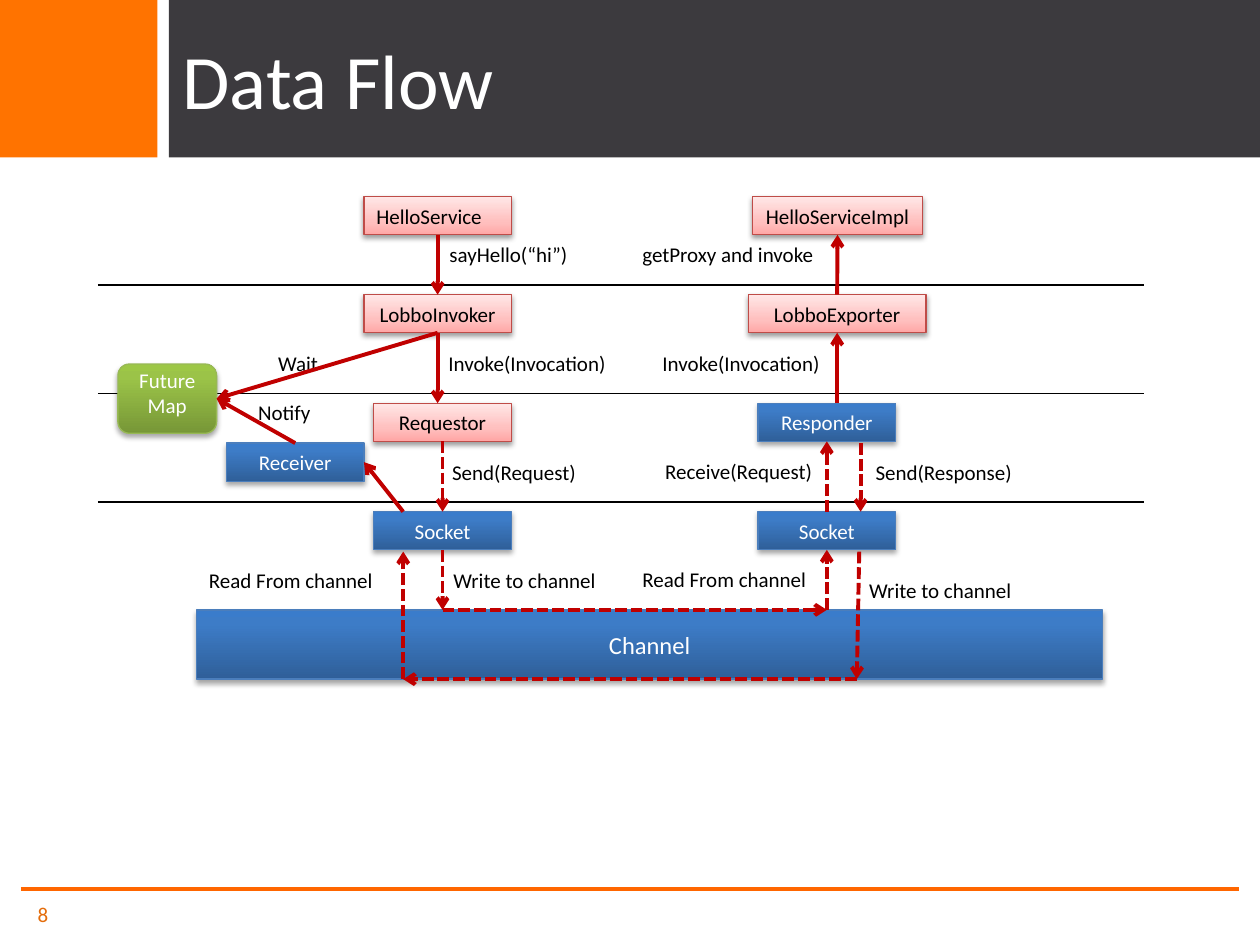
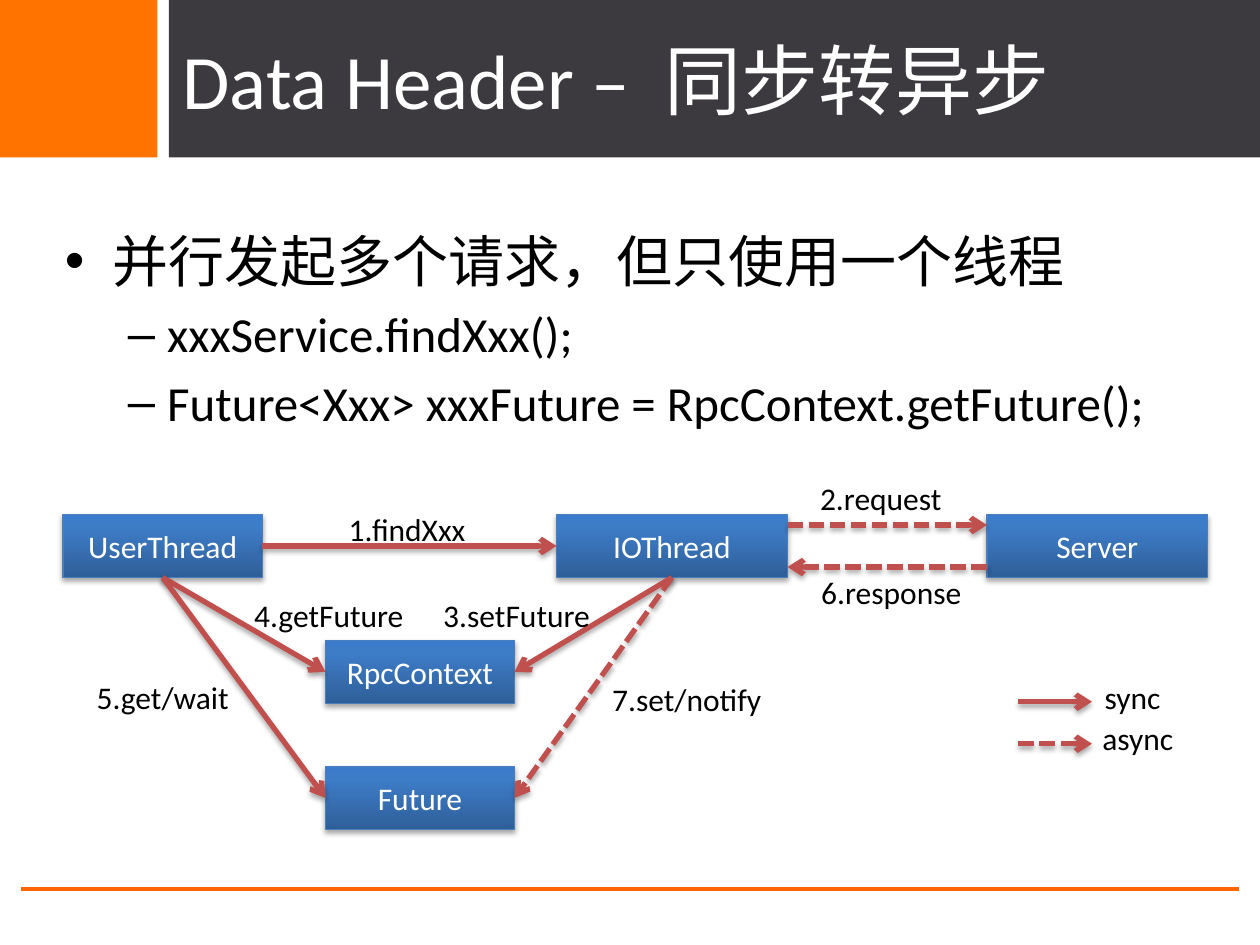
from lxml.etree import SubElement
from pptx import Presentation
from pptx.dml.color import RGBColor
from pptx.enum.dml import MSO_LINE_DASH_STYLE as Dash
from pptx.enum.shapes import MSO_CONNECTOR as Connector, MSO_SHAPE as Preset
from pptx.enum.text import MSO_ANCHOR as Anchor, PP_ALIGN as Align
from pptx.oxml.ns import qn
from pptx.util import Pt

FONT = "Calibri"
COLORS = {
    "band": "3C3A3E", "orange": "FF7300", "footer": "FF6600", "number": "E46C0A",
    "white": "FFFFFF", "black": "000000", "flow": "C00000", "call": "C0504D",
}
# Box styles: gradient stops from bottom to top, outline, text colour, shadow opacity in %
STYLES = {
    "pink": ([(0, "FFA6A5"), (35, "FFC0BF"), (100, "FFE7E7")], "BF4C48", "black", 38),
    "blue": ([(0, "2F5F99"), (80, "3D7CC7"), (100, "3A7CCB")], "4B7EBC", "white", 35),
    "green": ([(0, "779737"), (80, "9BC348"), (100, "9DC746")], "98B955", "white", 35),
}
SITES = {"top": 0, "left": 1, "bottom": 2, "right": 3}


def rgb(name):
    return RGBColor.from_string(COLORS.get(name, name))


def format_text(paragraph, size, color, align=Align.LEFT):
    paragraph.alignment = align
    for run in paragraph.runs:
        run.font.name, run.font.size = FONT, Pt(size)
        run.font.color.rgb = rgb(color)


def add_shadow(properties, opacity):
    """Put a soft shadow below into the effect list of the shape properties."""
    effects = properties.find(qn("a:effectLst"))
    shadow = SubElement(effects, qn("a:outerShdw"), blurRad=str(Pt(3.1)),
                        dist=str(Pt(1.8)), dir="5400000", rotWithShape="0")
    color = SubElement(shadow, qn("a:srgbClr"), val=COLORS["black"])
    SubElement(color, qn("a:alpha"), val=str(opacity * 1000))


def add_text(slide, text, left, top, width, height, size, color,
             anchor=Anchor.TOP, wrap=False):
    box = slide.shapes.add_textbox(Pt(left), Pt(top), Pt(width), Pt(height))
    frame = box.text_frame
    frame.text, frame.word_wrap, frame.vertical_anchor = text, wrap, anchor
    for paragraph in frame.paragraphs:
        format_text(paragraph, size, color)
    return frame


def add_band(slide, left, width, height, color):
    band = slide.shapes.add_shape(Preset.RECTANGLE, Pt(left), 0, Pt(width), Pt(height))
    band.shadow.inherit = False
    band.fill.solid()
    band.fill.fore_color.rgb = rgb(color)
    band.line.fill.background()


def add_line(slide, begin, end, color, weight):
    """Each end is a point, or a box with the name of one of its sides."""
    line = slide.shapes.add_connector(Connector.STRAIGHT, 0, 0, 0, 0)
    if isinstance(begin[1], str):
        line.begin_connect(begin[0], SITES[begin[1]])
    else:
        line.begin_x, line.begin_y = Pt(begin[0]), Pt(begin[1])
    if isinstance(end[1], str):
        line.end_connect(end[0], SITES[end[1]])
    else:
        line.end_x, line.end_y = Pt(end[0]), Pt(end[1])
    line.line.color.rgb, line.line.width = rgb(color), Pt(weight)
    SubElement(line._element.spPr, qn("a:effectLst"))
    return line


class Diagram:
    """Boxes, labels and arrows placed relative to one corner."""

    def __init__(self, slide, left, top, size, arrow_color, weight, arrow_shadow=False):
        self.slide, self.left, self.top, self.size = slide, left, top, size
        self.arrow_color, self.weight = arrow_color, weight
        self.arrow_shadow = arrow_shadow

    def at(self, x, y):
        return self.left + x, self.top + y

    def box(self, text, x, y, width, height, style="blue", size=None,
            preset=Preset.RECTANGLE, align=Align.CENTER):
        stops, outline, color, opacity = STYLES[style]
        left, top = self.at(x, y)
        shape = self.slide.shapes.add_shape(preset, Pt(left), Pt(top), Pt(width), Pt(height))
        # Three-stop gradient
        shape.fill.gradient()
        shape.fill.gradient_angle = 90
        stop_list = shape._element.spPr.find(".//" + qn("a:gsLst"))
        stop_list.clear()
        for position, stop_color in stops:
            stop = SubElement(stop_list, qn("a:gs"), pos=str(position * 1000))
            SubElement(stop, qn("a:srgbClr"), val=stop_color)
        shape.line.color.rgb, shape.line.width = rgb(outline), Pt(0.75)
        shape.shadow.inherit = False
        add_shadow(shape._element.spPr, opacity)
        # Caption
        frame = shape.text_frame
        frame.text, frame.vertical_anchor = text, Anchor.MIDDLE
        frame.word_wrap = align == Align.LEFT
        format_text(frame.paragraphs[0], size or self.size, color, align)
        return shape

    def label(self, text, x, y, width):
        left, top = self.at(x, y)
        add_text(self.slide, text, left, top, width, self.size * 1.2 + 7.2,
                 self.size, "black")

    def arrow(self, begin, end, dashed=False):
        begin, end = (point if isinstance(point[1], str) else self.at(*point)
                      for point in (begin, end))
        line = add_line(self.slide, begin, end, self.arrow_color, self.weight)
        if dashed:
            line.line.dash_style = Dash.SQUARE_DOT
        SubElement(line.line._get_or_add_ln(), qn("a:tailEnd"), type="arrow")
        if self.arrow_shadow:
            add_shadow(line._element.spPr, 35)


def add_frame(presentation, title, number=None):
    """New slide with title band, footer rule and optional page number."""
    slide = presentation.slides.add_slide(presentation.slide_layouts[6])
    add_band(slide, 96.5, 623.5, 90, "band")
    add_band(slide, 0, 90, 90, "orange")
    add_line(slide, (12, 508), (708, 508), "footer", 2.25)
    add_text(slide, title, 97.2, 0, 622.8, 90, 44, "white", Anchor.MIDDLE, True)
    if number:
        add_text(slide, number, 14.4, 507.6, 79, 29, 12, "number", Anchor.MIDDLE, True)
    return slide


def add_bullets(slide, left, top, width, height, items):
    # Per level: text size, indent, hanging width, bullet
    levels = [(32, 27, 27, "•"), (28, 58.5, 22.5, "–")]
    frame = add_text(slide, "\n".join(text for _, text in items),
                     left, top, width, height, 32, "black", wrap=True)
    for paragraph, (level, _) in zip(frame.paragraphs, items):
        size, indent, hanging, bullet = levels[level]
        format_text(paragraph, size, "black")
        paragraph.level, paragraph.space_before = level, Pt(size * 0.2)
        properties = paragraph._p.get_or_add_pPr()
        properties.set("marL", str(Pt(indent)))
        properties.set("indent", str(-Pt(hanging)))
        SubElement(properties, qn("a:buFont"), typeface="Arial")
        SubElement(properties, qn("a:buChar"), char=bullet)


def add_data_flow(slide, left, top):
    flow = Diagram(slide, left, top, 12, "flow", 2.25)
    service, proxy, exchange, transport, channel = 0.4, 56.4, 118.4, 180.4, 236.5
    height, narrow = 21.8, 78.6

    # Layer separators
    for row in (proxy, exchange, transport):
        add_line(slide, flow.at(0, row - 5.6), flow.at(598, row - 5.6), "black", 0.75)

    # Consumer side
    hello = flow.box("HelloService", 152, service, 84.2, height, "pink", align=Align.LEFT)
    invoker = flow.box("LobboInvoker", 152, proxy, 84.2, height, "pink")
    requestor = flow.box("Requestor", 157.6, exchange, narrow, height, "pink")
    client = flow.box("Socket", 157.6, transport, narrow, height)
    receiver = flow.box("Receiver", 73.4, 141.2, narrow, height)
    future = flow.box("Future\vMap", 11.4, 96, 56.4, 39.6, "green",
                      preset=Preset.ROUNDED_RECTANGLE)
    future.text_frame.vertical_anchor = Anchor.TOP
    future.text_frame.margin_top = 0

    # Provider side
    implementation = flow.box("HelloServiceImpl", 374, service, 97.2, height, "pink")
    exporter = flow.box("LobboExporter", 371.6, proxy, 101.6, height, "pink")
    responder = flow.box("Responder", 377.2, exchange, narrow, height)
    server = flow.box("Socket", 377.2, transport, narrow, height)
    flow.box("Channel", 56.3, channel, 517.8, 39.6, size=14)

    # Step labels
    for text, x, y, width in [
        ("sayHello(“hi”)", 193.8, 22.6, 83), ("getProxy and invoke", 304, 22.6, 113),
        ("Wait", 95.9, 84.6, 37), ("Invoke(Invocation)", 193.2, 84.6, 105),
        ("Invoke(Invocation)", 315.5, 84.6, 105), ("Notify", 84.4, 112.6, 45),
        ("Send(Request)", 195.3, 147.2, 86), ("Receive(Request)", 317, 146.4, 99),
        ("Send(Response)", 437.2, 147.2, 93), ("Read From channel", 56.3, 209, 109),
        ("Write to channel", 196, 209, 96), ("Read From channel", 304, 208.4, 109),
        ("Write to channel", 433.6, 214.2, 96),
    ]:
        flow.label(text, x, y, width)

    # Calls inside one process
    for begin, end in [
        ((hello, "bottom"), (invoker, "top")),
        ((invoker, "bottom"), (194.1, exchange)),
        ((invoker, "bottom"), (future, "right")),
        ((receiver, "top"), (future, "right")),
        ((174.4, transport), (receiver, "right")),
        ((422.4, exchange), (exporter, "bottom")),
        ((exporter, "top"), (implementation, "bottom")),
    ]:
        flow.arrow(begin, end)

    # Messages over the channel
    below_socket, floor = transport + height + 1, channel + 39.6
    for begin, end in [
        ((requestor, "bottom"), (client, "top")),
        ((client, "bottom"), (196.9, channel)),
        ((196.9, channel), (416.5, channel)),
        ((416.5, channel), (server, "bottom")),
        ((server, "top"), (responder, "bottom")),
        ((435.8, exchange + height + 1), (435.8, transport)),
        ((435, below_socket), (433.6, floor)),
        ((433.6, floor), (174.4, floor)),
        ((174.4, floor), (174.4, below_socket)),
    ]:
        flow.arrow(begin, end, dashed=True)


def add_future_calls(slide, left, top):
    calls = Diagram(slide, left, top, 18, "call", 3, arrow_shadow=True)
    row, height = 72, 36

    user = calls.box("UserThread", 0, 0, 114, height)
    context = calls.box("RpcContext", 150, row, 108, height)
    future = calls.box("Future", 150, 2 * row, 108, height)
    worker = calls.box("IOThread", 282, 0, 132, height)
    calls.box("Server", 528, 0, 126, height)

    # Arrows, the last two being the legend
    for begin, end, dashed in [
        ((user, "right"), (worker, "left"), False),
        ((user, "bottom"), (context, "left"), False),
        ((user, "bottom"), (future, "left"), False),
        ((worker, "bottom"), (context, "right"), False),
        ((worker, "bottom"), (future, "right"), True),
        ((414, 6), (528, 6), True),
        ((528, 30), (414, 30), True),
        ((546, 107), (588, 107), False),
        ((546, 131), (588, 131), True),
    ]:
        calls.arrow(begin, end, dashed)

    for text, x, y, width in [
        ("1.findXxx", 156.2, -6, 82), ("2.request", 425.5, -24, 85),
        ("3.setFuture", 210.2, 43, 99), ("4.getFuture", 102.2, 43, 101),
        ("5.get/wait", 12.2, 90, 91), ("6.response", 426.2, 30, 96),
        ("7.set/notify", 306.7, 91, 101), ("sync", 588.2, 90, 47),
        ("async", 586.8, 113.6, 55),
    ]:
        calls.label(text, x, y, width)


presentation = Presentation()
presentation.slide_width, presentation.slide_height = Pt(720), Pt(540)

add_data_flow(add_frame(presentation, "Data Flow", "8"), 56, 112)

slide = add_frame(presentation, "Data Header –  同步转异步")
add_bullets(slide, 30, 126, 648, 356, [
    (0, "并行发起多个请求，但只使用一个线程"),
    (1, "xxxService.findXxx();"),
    (1, "Future<Xxx> xxxFuture = RpcContext.getFuture();"),
])
add_future_calls(slide, 36, 294)

presentation.save("out.pptx")
